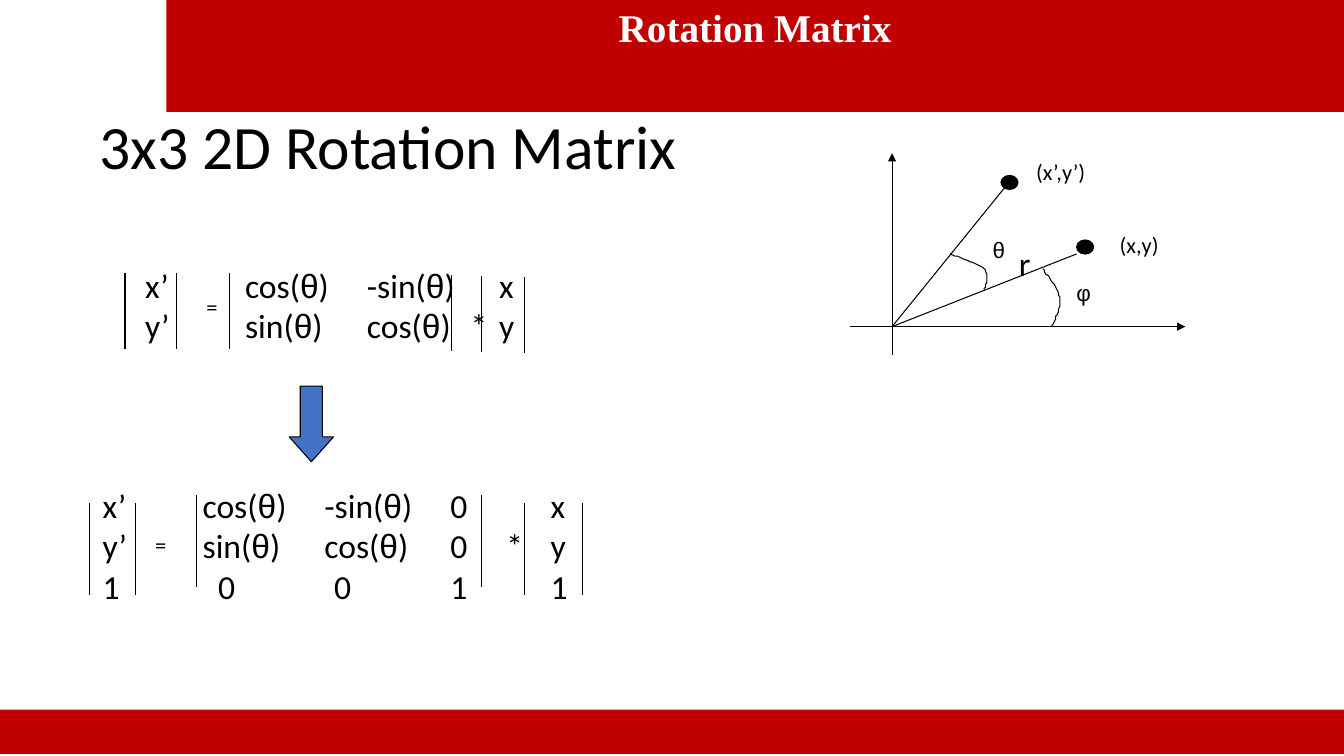
import itertools

import pptx
import pptx.dml.color
import pptx.enum.shapes
import pptx.enum.text
import pptx.oxml
import pptx.oxml.ns
import pptx.util

Pt = pptx.util.Pt
SHAPE = pptx.enum.shapes.MSO_SHAPE
ANCHOR = pptx.enum.text.MSO_ANCHOR
ALIGN = pptx.enum.text.PP_ALIGN
BLACK, WHITE, RED, BLUE = "000000", "FFFFFF", "C00000", "4472C4"
GREEK = "θφ"


def color(code):
    return pptx.dml.color.RGBColor.from_string(code)


def add_xml(parent, tag, **attrs):
    item = pptx.oxml.parse_xml(f"<a:{tag} {pptx.oxml.ns.nsdecls('a')}/>")
    for key, value in attrs.items():
        item.set(key, str(value))
    parent.append(item)
    return item


def add_runs(para, text, **style):
    """Fill a paragraph, with the Greek letters in Arial."""
    look = {"size": Pt(16), "name": "Calibri"} | style
    tint = look.pop("tint", BLACK)
    for greek, chars in itertools.groupby(text, lambda char: char in GREEK):
        run = para.add_run()
        run.text = "".join(chars)
        for key, value in look.items():
            setattr(run.font, key, value)
        if greek:
            run.font.name = "Arial"
        run.font.color.rgb = color(tint)


def add_box(slide, left, top, width, height):
    box = slide.shapes.add_textbox(Pt(left), Pt(top), Pt(width), Pt(height))
    box.text_frame.word_wrap = True
    return box.text_frame


def add_label(slide, text, left, top, width, size=16):
    frame = add_box(slide, left, top, width, size * 1.2 + 7.2)
    add_runs(frame.paragraphs[0], text, size=Pt(size))


def add_rows(slide, left, top, width, rows):
    """Place matrix rows, each a pair of tabbed text and tab stops."""
    frame = add_box(slide, left, top, width, len(rows) * 29 + 7.2)
    for index, (text, stops) in enumerate(rows):
        para = frame.add_paragraph() if index else frame.paragraphs[0]
        tabs = add_xml(para._p.get_or_add_pPr(), "tabLst")
        for stop in stops:
            add_xml(tabs, "tab", pos=Pt(stop), algn="l")
        add_runs(para, text, size=Pt(24))


def add_shape(slide, kind, left, top, width, height, fill, edge=None):
    shape = slide.shapes.add_shape(kind, Pt(left), Pt(top), Pt(width), Pt(height))
    shape.shadow.inherit = False
    shape.fill.solid()
    shape.fill.fore_color.rgb = color(fill)
    if edge:
        set_line(shape, edge)
    else:
        shape.line.fill.background()
    return shape


def set_line(shape, tint=BLACK):
    shape.line.color.rgb = color(tint)
    shape.line.width = Pt(0.75)


def add_line(slide, start, end, arrow=False):
    ends = map(Pt, (*start, *end))
    line = slide.shapes.add_connector(pptx.enum.shapes.MSO_CONNECTOR.STRAIGHT, *ends)
    set_line(line)
    if arrow:
        add_xml(line.line._get_or_add_ln(), "tailEnd", type="triangle")
    add_xml(line._element.spPr, "effectLst")


def add_bars(slide, height, bars):
    for left, top in bars:
        add_line(slide, (left, top), (left, top + height))


def blend(points, part):
    """Give the point at this part of a cubic curve."""
    rest = 1 - part
    weights = rest**3, 3 * rest**2 * part, 3 * rest * part**2, part**3
    return tuple(sum(w * c for w, c in zip(weights, axis)) for axis in zip(*points))


def add_arc(slide, points, steps=12):
    """Draw joined cubic curves; each piece starts where the last one ends."""
    curve = [
        blend(points[first:first + 4], step / steps)
        for first in range(0, len(points) - 1, 3)
        for step in range(1, steps + 1)
    ]
    path = slide.shapes.build_freeform(*points[0], scale=Pt(1))
    path.add_line_segments(curve, close=False)
    arc = path.convert_to_shape()
    arc.shadow.inherit = False
    arc.fill.background()
    set_line(arc)


def add_plot(slide):
    base = (637.2, 233.3)
    add_line(slide, (607, 233.3), (846.7, 233.3), arrow=True)
    add_line(slide, (637.2, 253.4), (637.2, 109.4), arrow=True)
    for end in (769, 181.4), (720.7, 130.3):
        add_line(slide, base, end)
    for left, top in (769, 171.4), (715, 125.3):
        add_shape(slide, SHAPE.OVAL, left, top, 12.2, 10.1, BLACK, BLACK)
    add_arc(slide, [(702.7, 207.4), (704.9, 201.6), (707, 196.6), (702.7, 192.2),
                    (699.1, 187.9), (682.6, 183.6), (679, 181.4)])
    add_arc(slide, [(751, 233.3), (754.6, 226.1), (758.2, 219.6), (756.7, 212.4),
                    (756, 205.9), (746.6, 195.1), (745.2, 192.2)])
    add_label(slide, "(x,y)", 792.7, 161.3, 46)
    add_label(slide, "(x’,y’)", 733, 109.4, 54)
    add_label(slide, "θ", 702, 164.9, 24)
    add_label(slide, "φ", 761.8, 195.8, 24)
    add_label(slide, "r", 720.7, 169.9, 24, 24)


def main():
    deck = pptx.Presentation()
    deck.slide_width, deck.slide_height = Pt(960), Pt(540)
    slide = deck.slides.add_slide(deck.slide_layouts[6])

    title = add_box(slide, 64, 54.7, 828, 104.4)
    title.vertical_anchor = ANCHOR.MIDDLE
    title.paragraphs[0].line_spacing = 0.9
    add_runs(title.paragraphs[0], "3x3 2D Rotation Matrix", size=Pt(44))

    stops = 71.5, 158.5, 232.5, 253
    add_rows(slide, 96.5, 185.8, 290, [
        ("x’\tcos(θ)\t-sin(θ)\t\tx", stops),
        ("y’\tsin(θ)\tcos(θ)\t*\ty", stops),
    ])
    add_bars(slide, 54, [(89.3, 195), (126, 195), (164.2, 195),
                         (322.6, 196.5), (344.2, 197.3), (374.4, 198)])
    add_label(slide, "=", 140.4, 205.9, 23)
    add_plot(slide)

    arrow = add_shape(slide, SHAPE.DOWN_ARROW, 206.6, 275.8, 31.7, 54, BLUE, BLACK)
    arrow.adjustments[0], arrow.adjustments[1] = 0.5, 0.56

    stops = 71.5, 158.5, 248.5, 288.5, 320
    add_rows(slide, 66.2, 342.7, 365, [
        ("x’\tcos(θ)\t-sin(θ)\t0\t\tx", stops),
        ("y’\tsin(θ)\tcos(θ)\t0\t*\ty", stops),
        ("1\t0\t0\t1\t\t1", (82.5, 165.5, *stops[2:])),
    ])
    add_label(slide, "=", 103.7, 375.8, 23)
    add_bars(slide, 66, [(64, 359.3), (96.5, 359.3), (140.4, 353.5),
                         (344.2, 353.5), (374.4, 359.3), (416.2, 359.3)])

    banner = add_shape(slide, SHAPE.RECTANGLE, 118.8, -1.4, 841.2, 81.4, RED)
    banner.text_frame.vertical_anchor = ANCHOR.TOP
    head = banner.text_frame.paragraphs[0]
    head.alignment = ALIGN.CENTER
    add_runs(head, "Rotation Matrix", size=Pt(28), name="Times New Roman",
             bold=True, tint=WHITE)
    add_shape(slide, SHAPE.RECTANGLE, 0, 506.9, 960, 31.7, RED)
    deck.save("out.pptx")


if __name__ == "__main__":
    main()
